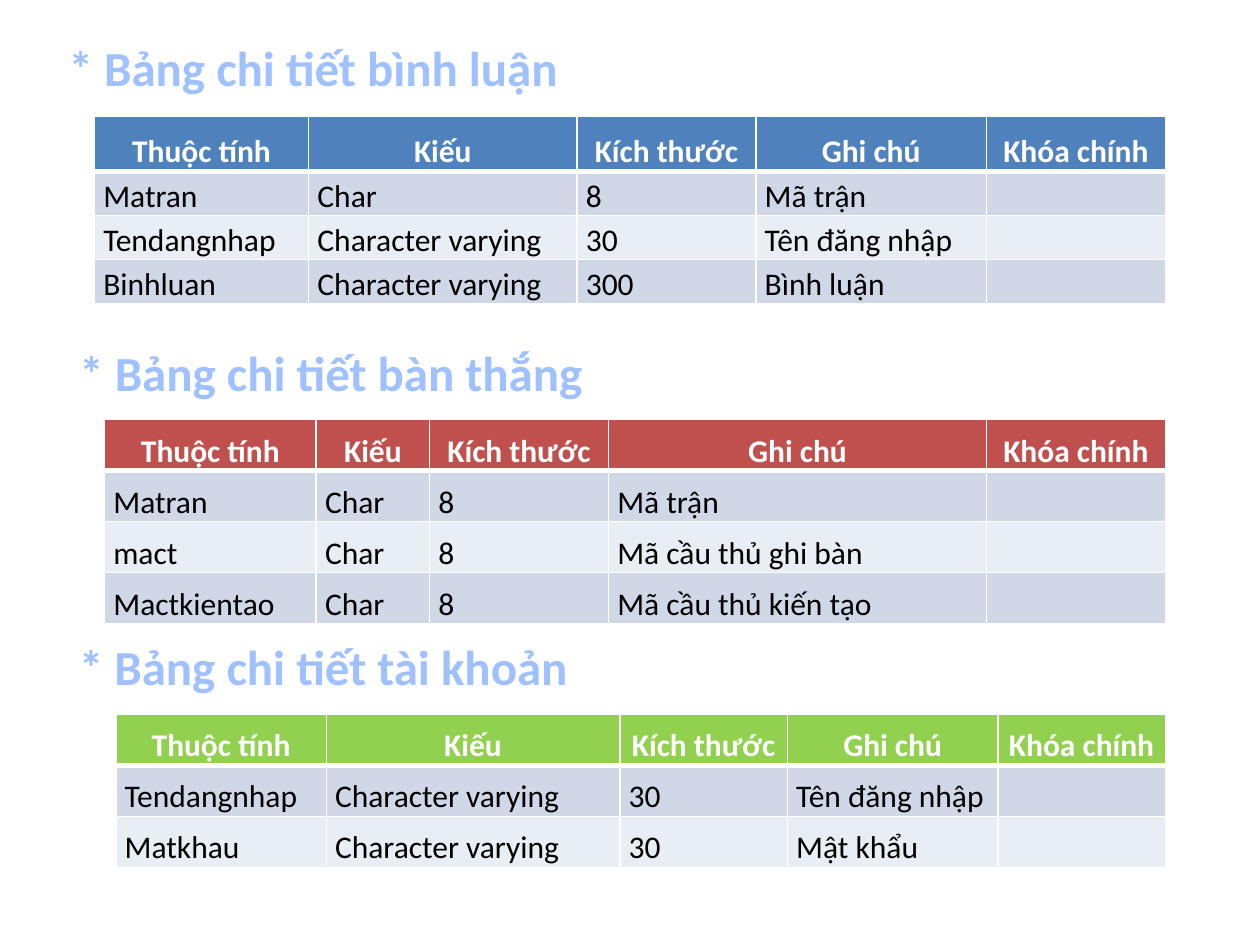
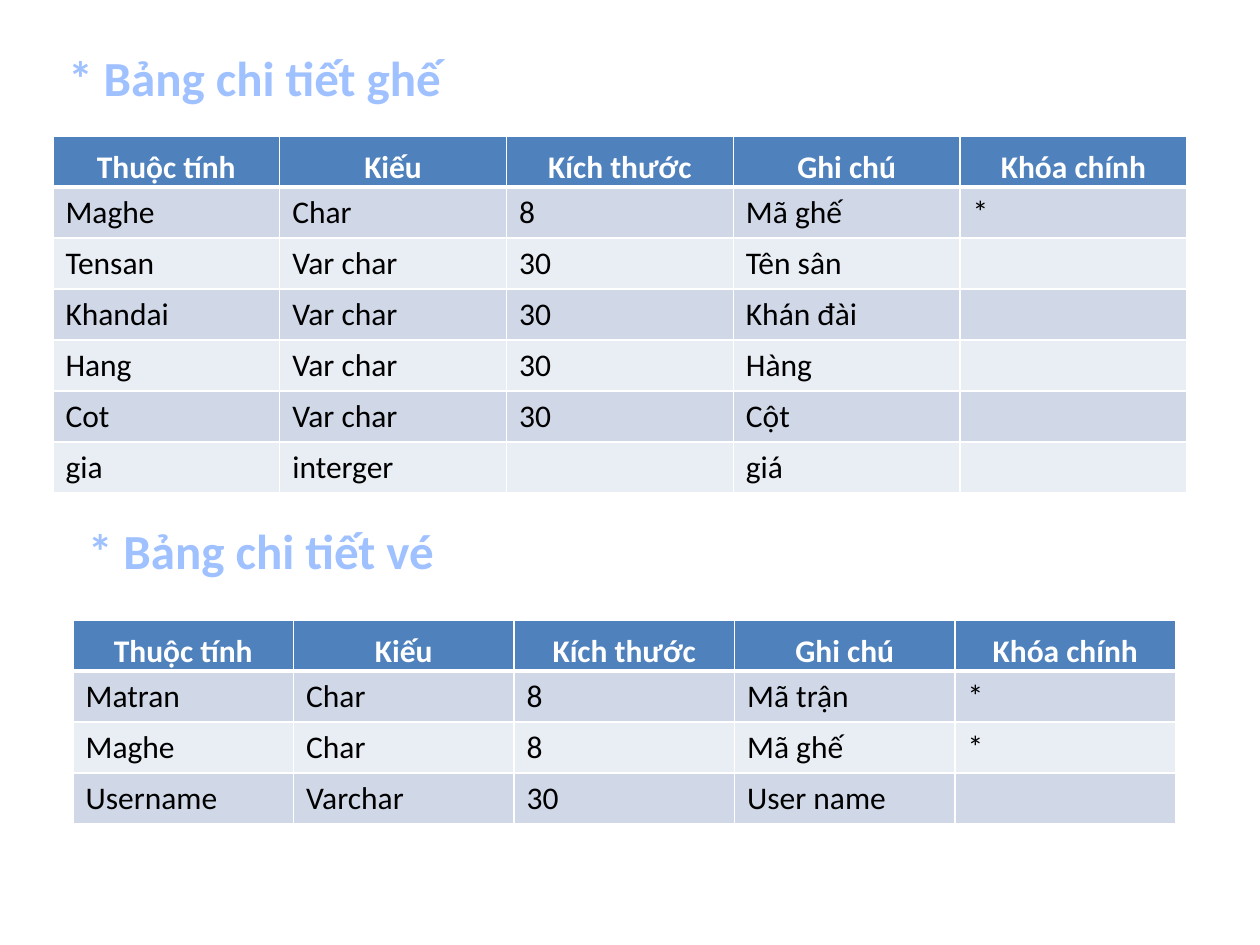
from lxml import etree
from pptx import Presentation
from pptx.dml.color import RGBColor
from pptx.enum.text import MSO_ANCHOR, MSO_AUTO_SIZE, PP_ALIGN
from pptx.oxml import parse_xml
from pptx.oxml.ns import nsdecls, qn
from pptx.util import Inches, Pt

CENTER, JUSTIFY, LEFT = PP_ALIGN.CENTER, PP_ALIGN.JUSTIFY, PP_ALIGN.LEFT
TOP, BOTTOM = MSO_ANCHOR.TOP, MSO_ANCHOR.BOTTOM
FIT_SHAPE = MSO_AUTO_SIZE.SHAPE_TO_FIT_TEXT

FONT = "Calibri"
WHITE, BLACK = "FFFFFF", "000000"
BLUE, RED, GREEN = "4F81BD", "C0504D", "92D050"
BANDS = ["D0D8E8", "E9EDF4"]
TITLE_LINE = "467AB8"
TITLE_STOPS = [(0, "BFD3F9"), (9, "A0C1FF"), (50, "003D85"), (79, "A0C1FF"), (100, "BFD3F9")]
HEADERS = ["Thuộc tính", "Kiếu", "Kích thước", "Ghi chú", "Khóa chính"]
ROW_H = 0.405


def rgb(value):
    return RGBColor.from_string(value)


def style_title_run(r):
    r.font.name, r.font.size, r.font.bold = FONT, Pt(28), True
    stops = "".join(
        f'<a:gs pos="{pos * 1000}"><a:srgbClr val="{color}"/></a:gs>' for pos, color in TITLE_STOPS
    )
    outline = parse_xml(
        f'<a:ln {nsdecls("a")} w="{Pt(0.83)}"><a:solidFill>'
        f'<a:srgbClr val="{TITLE_LINE}"/></a:solidFill></a:ln>'
    )
    gradient = parse_xml(
        f'<a:gradFill {nsdecls("a")}><a:gsLst>{stops}</a:gsLst><a:lin ang="5400000"/></a:gradFill>'
    )
    rPr = r.font._element
    rPr.insert(0, outline)
    rPr.insert(1, gradient)


def add_title(slide, text, x, y, w):
    sp = slide.shapes.add_textbox(Inches(x), Inches(y), Inches(w), Inches(0.57))
    tf = sp.text_frame
    tf.word_wrap = False
    tf.auto_size = FIT_SHAPE
    p = tf.paragraphs[0]
    p.alignment = CENTER
    r = p.add_run()
    r.text = text
    style_title_run(r)


def set_borders(cell, top, bottom):
    tcPr = cell._tc.get_or_add_tcPr()
    for side, width in (("L", 1), ("R", 1), ("T", top), ("B", bottom)):
        ln = etree.SubElement(tcPr, qn(f"a:ln{side}"), w=str(Pt(width)))
        fill = etree.SubElement(ln, qn("a:solidFill"))
        etree.SubElement(fill, qn("a:srgbClr"), val=WHITE)


def fill_cell(cell, text, row, header_fill, compact):
    header = row == 0
    tight = header or compact
    set_borders(cell, 3 if row == 1 else 1, 3 if header else 1)
    cell.fill.solid()
    cell.fill.fore_color.rgb = rgb(header_fill if header else BANDS[(row - 1) % 2])
    cell.margin_left = cell.margin_right = Inches(0.07 if tight else 0.1)
    cell.margin_top = cell.margin_bottom = Inches(0 if tight else 0.05)
    cell.vertical_anchor = BOTTOM if tight else TOP
    cell.text = text
    p = cell.text_frame.paragraphs[0]
    p.alignment = CENTER if header else JUSTIFY if compact else LEFT
    if tight:
        p.line_spacing = 1.15
    p.font.name, p.font.size, p.font.bold = FONT, Pt(18), header
    p.font.color.rgb = rgb(WHITE if header else BLACK)


def add_detail_table(slide, x, y, cols, rows, header_fill, compact, heights=None):
    cells = [HEADERS, *rows]
    heights = heights or [ROW_H] * len(cells)
    frame = slide.shapes.add_table(
        len(cells), len(cols), Inches(x), Inches(y), Inches(sum(cols)), Inches(sum(heights))
    )
    table = frame.table
    table.horz_banding = False
    for column, width in zip(table.columns, cols):
        column.width = Inches(width)
    for i, (values, height) in enumerate(zip(cells, heights)):
        table.rows[i].height = Inches(height)
        for j, text in enumerate(values):
            fill_cell(table.cell(i, j), text, i, header_fill, compact)


def add_match_tables(slide):
    add_title(slide, "* Bảng chi tiết bình luận", 0.42, 0.25, 4.13)
    add_detail_table(slide, 0.75, 0.92, [1.7, 2.13, 1.42, 1.83, 1.42], [
        ["Matran", "Char", "8", "Mã trận", ""],
        ["Tendangnhap", "Character varying", "30", "Tên đăng nhập", ""],
        ["Binhluan", "Character varying", "300", "Bình luận", ""],
    ], BLUE, True, [0.44] + [0.35] * 3)
    add_title(slide, "* Bảng chi tiết bàn thắng", 0.5, 2.67, 4.25)
    add_detail_table(slide, 0.83, 3.33, [1.68, 0.9, 1.42, 3, 1.42], [
        ["Matran", "Char", "8", "Mã trận", ""],
        ["mact", "Char", "8", "Mã cầu thủ ghi bàn", ""],
        ["Mactkientao", "Char", "8", "Mã cầu thủ kiến tạo", ""],
    ], RED, True)
    add_title(slide, "* Bảng chi tiết tài khoản", 0.5, 5, 4.13)
    add_detail_table(slide, 0.92, 5.67, [1.67, 2.33, 1.33, 1.67, 1.33], [
        ["Tendangnhap", "Character varying", "30", "Tên đăng nhập", ""],
        ["Matkhau", "Character varying", "30", "Mật khẩu", ""],
    ], GREEN, True)


def add_seat_tables(slide):
    add_title(slide, "* Bảng chi tiết ghế", 0.42, 0.33, 3.2)
    add_detail_table(slide, 0.42, 1.08, [1.8] * 5, [
        ["Maghe", "Char", "8", "Mã ghế", "*"],
        ["Tensan", "Var char", "30", "Tên sân", ""],
        ["Khandai", "Var char", "30", "Khán đài", ""],
        ["Hang", "Var char", "30", "Hàng", ""],
        ["Cot", "Var char", "30", "Cột", ""],
        ["gia", "interger", "", "giá", ""],
    ], BLUE, False)
    add_title(slide, "* Bảng chi tiết vé", 0.58, 4.08, 2.98)
    add_detail_table(slide, 0.58, 4.92, [1.75] * 5, [
        ["Matran", "Char", "8", "Mã trận", "*"],
        ["Maghe", "Char", "8", "Mã ghế", "*"],
        ["Username", "Varchar", "30", "User name", ""],
    ], BLUE, False)


def main():
    prs = Presentation()
    prs.slide_width, prs.slide_height = Inches(10), Inches(7.5)
    for build in (add_match_tables, add_seat_tables):
        build(prs.slides.add_slide(prs.slide_layouts[6]))
    prs.save("out.pptx")


if __name__ == "__main__":
    main()
